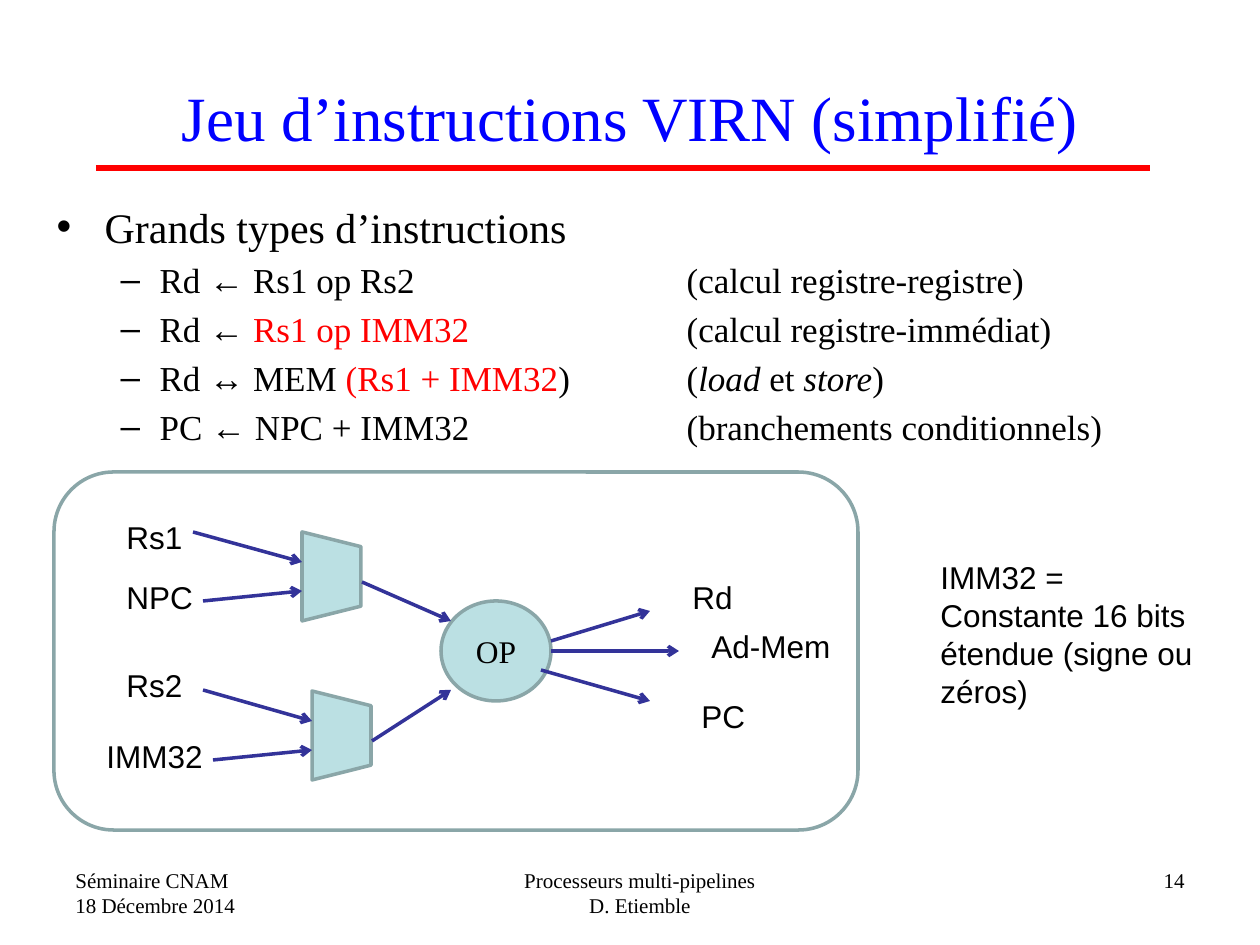
from lxml.etree import SubElement
from pptx import Presentation
from pptx.dml.color import RGBColor
from pptx.enum.shapes import MSO_CONNECTOR as Connector, MSO_SHAPE as Shape
from pptx.enum.text import MSO_ANCHOR as Anchor, MSO_AUTO_SIZE as AutoSize, PP_ALIGN as Align
from pptx.oxml.ns import qn
from pptx.util import Pt

EMU_PER_PX = 914400 / 126
SERIF, SANS = "Times New Roman", "Arial"
COLOURS = {
    "text": "000000", "title": "0000FF", "accent": "FF0000", "paper": "FFFFFF",
    "block": "BBE0E3", "outline": "8AA6A8", "arrow": "333399",
}
TAB_COLUMN = 630

# Each list line: level, then runs of (text, style)
INSTRUCTION_TYPES = [
    (0, [("Grands types d’instructions", "")]),
    (1, [("Rd ← Rs1 op Rs2\t(calcul registre-registre)", "")]),
    (1, [("Rd ← ", ""), ("Rs1 op IMM32", "accent"), ("\t(calcul registre-immédiat)", "")]),
    (1, [("Rd ↔ MEM ", ""), ("(Rs1 + IMM32", "accent"), (")\t(", ""),
         ("load ", "italic"), ("et ", ""), ("store", "italic"), (")", "")]),
    (1, [("PC ← NPC + IMM32\t(branchements conditionnels)", "")]),
]
# Per level: bullet, left margin, hanging indent, size, space before
LEVELS = [("•", 48, 48, 24, 0), ("–", 103, 39, 20, 4)]

LABELS = [
    ("Rs1", 114, 512, 82), ("NPC", 114, 572, 93), ("Rs2", 114, 660, 82),
    ("IMM32", 94, 731, 122), ("Rd", 680, 572, 66), ("Ad-Mem", 699, 621, 145),
    ("PC", 689, 691, 69),
]
ARROWS = [
    (193, 532, 302, 562), (203, 601, 302, 591),  # into the upper multiplexer
    (203, 690, 312, 721), (213, 760, 312, 750),  # into the lower multiplexer
    (362, 582, 451, 621), (372, 741, 451, 690),  # into the operator
    (551, 641, 650, 611), (551, 651, 679, 651), (541, 670, 650, 701),  # results
]
FOOTERS = [
    (["Séminaire CNAM", "18 Décembre 2014"], 63, 294, Align.LEFT),
    (["Processeurs multi-pipelines", "D. Etiemble"], 431, 418, Align.CENTER),
    (["14"], 903, 294, Align.RIGHT),
]


def px(*lengths):
    return [round(length * EMU_PER_PX) for length in lengths]


def colour(name):
    return RGBColor.from_string(COLOURS[name])


def set_font(font, size, name, colour_name="text"):
    font.size, font.name = Pt(size), name
    font.color.rgb = colour(colour_name)


def place(shape, left, top, width, height):
    shape.left, shape.top, shape.width, shape.height = px(left, top, width, height)


def add_title(slide, text):
    title = slide.shapes.title
    place(title, 63, 38, 1134, 157)
    frame = title.text_frame
    frame.text, frame.vertical_anchor = text, Anchor.MIDDLE
    frame.auto_size = AutoSize.NONE
    paragraph = frame.paragraphs[0]
    paragraph.alignment = Align.CENTER
    set_font(paragraph.font, 36, SERIF, "title")


def format_level(paragraph, level):
    bullet, margin, hanging, size, space = LEVELS[level]
    paragraph.level = level
    paragraph.space_before = Pt(space)
    properties = paragraph._p.get_or_add_pPr()
    properties.set("marL", str(px(margin)[0]))
    properties.set("indent", str(px(-hanging)[0]))
    SubElement(properties, qn("a:buChar"), char=bullet)
    if level:
        tabs = SubElement(properties, qn("a:tabLst"))
        SubElement(tabs, qn("a:tab"), pos=str(px(TAB_COLUMN)[0]), algn="l")
    paragraph.font.size, paragraph.font.name = Pt(size), SERIF


def add_list(slide, lines):
    body = slide.placeholders[1]
    place(body, 44, 195, 1153, 311)
    frame = body.text_frame
    frame.auto_size = AutoSize.NONE
    for index, (level, runs) in enumerate(lines):
        paragraph = frame.add_paragraph() if index else frame.paragraphs[0]
        format_level(paragraph, level)
        for text, style in runs:
            run = paragraph.add_run()
            run.text = text
            run.font.color.rgb = colour("accent" if style == "accent" else "text")
            if style == "italic":
                run.font.italic = True


def add_text(slide, lines, box, size, font_name, align=Align.LEFT, wrap=True):
    frame = slide.shapes.add_textbox(*px(*box)).text_frame
    frame.word_wrap = wrap
    frame.text = "\n".join(lines)
    for paragraph in frame.paragraphs:
        paragraph.alignment = align
        set_font(paragraph.font, size, font_name)


def add_block(slide, kind, box, fill="block", rotation=0):
    shape = slide.shapes.add_shape(kind, *px(*box))
    shape.shadow.inherit = False
    shape.rotation = rotation
    shape.fill.solid()
    shape.fill.fore_color.rgb = colour(fill)
    shape.line.color.rgb = colour("outline")
    shape.line.width = Pt(2)
    return shape


def add_line(slide, ends, colour_name, width, arrow=False):
    connector = slide.shapes.add_connector(Connector.STRAIGHT, *px(*ends))
    connector.line.color.rgb = colour(colour_name)
    connector.line.width = Pt(width)
    if arrow:
        SubElement(connector.line._get_or_add_ln(), qn("a:tailEnd"), type="arrow")
    SubElement(connector._element.spPr, qn("a:effectLst"))


def add_datapath(slide):
    add_block(slide, Shape.ROUNDED_RECTANGLE, (54, 472, 804, 358), "paper")
    operator = add_block(slide, Shape.OVAL, (441, 601, 110, 100))
    frame = operator.text_frame
    frame.text, frame.vertical_anchor = "OP", Anchor.MIDDLE
    frame.paragraphs[0].alignment = Align.CENTER
    set_font(frame.paragraphs[0].font, 18, SERIF)
    # Multiplexers, narrow side to the right
    for left, top in ((287, 547), (297, 706)):
        add_block(slide, Shape.TRAPEZOID, (left, top, 89, 59), rotation=90)
    for ends in ARROWS:
        add_line(slide, ends, "arrow", 2, arrow=True)
    for text, left, top, width in LABELS:
        add_text(slide, [text], (left, top, width, 50), 18, SANS, wrap=False)


def main():
    presentation = Presentation()
    presentation.slide_width, presentation.slide_height = px(1260, 945)
    slide = presentation.slides.add_slide(presentation.slide_layouts[1])

    # Heading and list
    add_line(slide, (96, 168, 1150, 168), "accent", 3.75)
    add_title(slide, "Jeu d’instructions VIRN (simplifié)")
    add_list(slide, INSTRUCTION_TYPES)

    # Diagram and its note
    add_datapath(slide)
    add_text(slide, ["IMM32 =", "Constante 16 bits", "étendue (signe ou zéros)"],
             (928, 552, 297, 165), 18, SANS)

    # Footer
    for lines, left, width, align in FOOTERS:
        add_text(slide, lines, (left, 861, width, 66), 12, SERIF, align)

    presentation.save("out.pptx")


if __name__ == "__main__":
    main()
